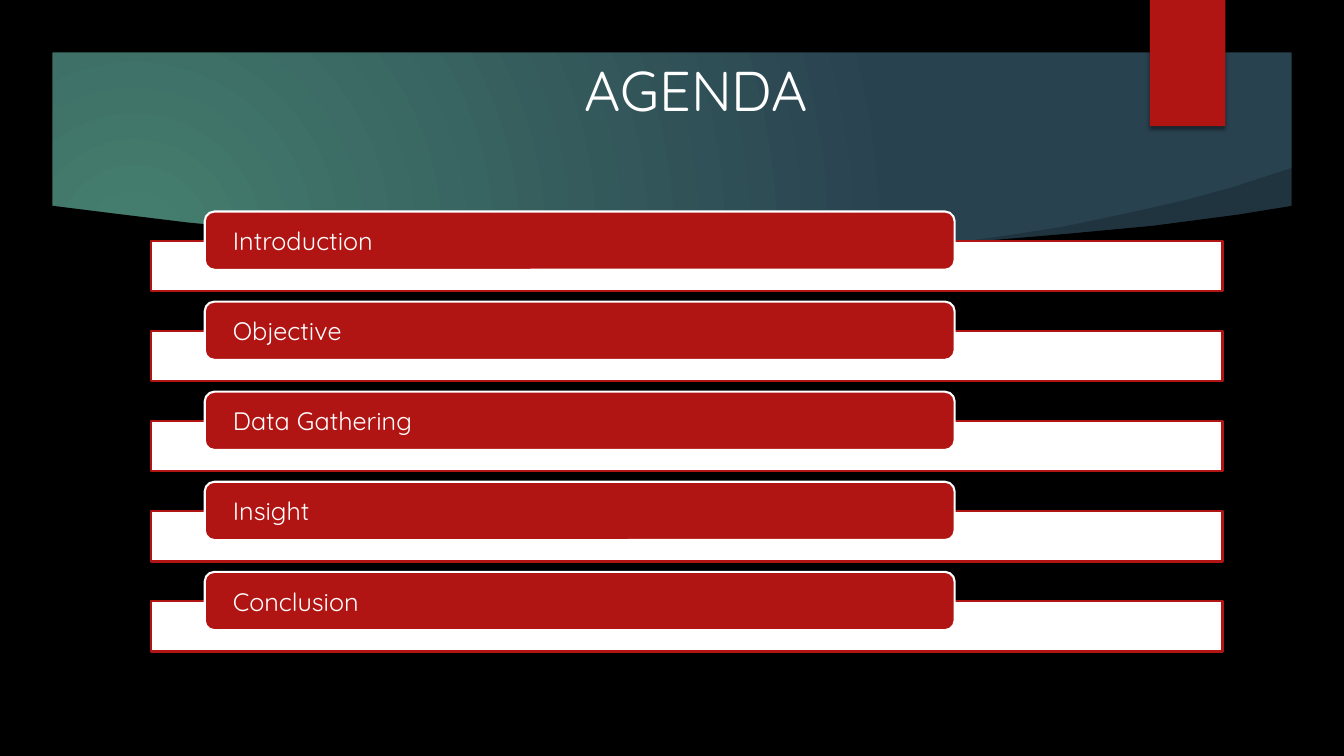
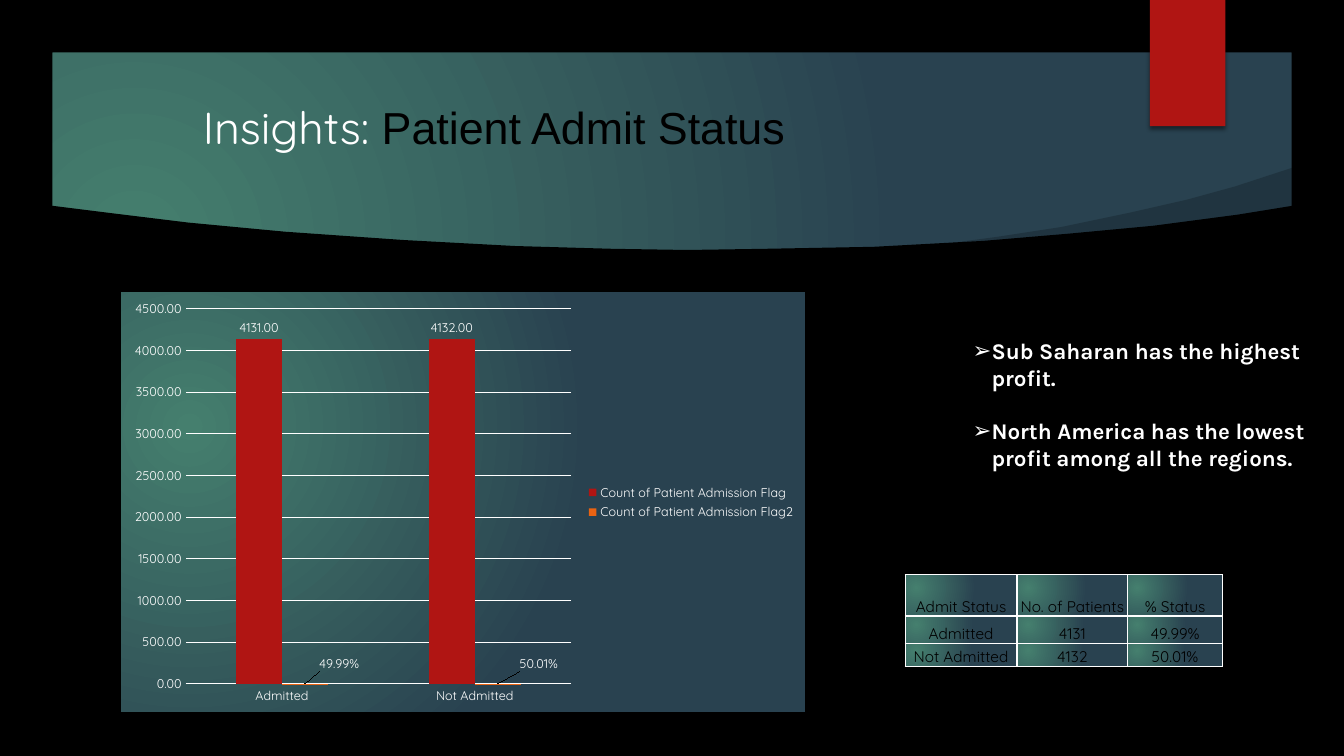
"""Build an agenda slide and a patient admission insight slide."""
from dataclasses import dataclass

from lxml.etree import SubElement
from pptx import Presentation
from pptx.chart.data import CategoryChartData
from pptx.dml.color import RGBColor
from pptx.enum.chart import XL_CHART_TYPE, XL_LABEL_POSITION, XL_LEGEND_POSITION, XL_TICK_MARK
from pptx.enum.shapes import MSO_SHAPE
from pptx.enum.text import MSO_ANCHOR, PP_ALIGN
from pptx.oxml import parse_xml
from pptx.oxml.ns import nsdecls, qn
from pptx.util import Cm, Pt

COLORS = {
    "black": "000000", "white": "FFFFFF", "red": "B01513",
    "orange": "EA6312", "green": "457F6E", "slate": "294250",
}
FONT = "Quicksand"
WIDTH, HEIGHT, MARGIN = 33.87, 19.05, 1.32
SHADE_POINTS = [
    (23.62, 6.17), (25.12, 5.97), (26.75, 5.72), (28.47, 5.36), (29.92, 5.03),
    (31.12, 4.7), (32.59, 4.22), (32.74, 5.44), (23.72, 6.35),
]
BODY_POINTS = [
    (1.27, 5.18), (2.87, 5.38), (4.75, 5.61), (7.19, 5.84), (10.19, 6.05),
    (12.98, 6.2), (15.42, 6.27), (17.32, 6.3), (19.3, 6.27), (22.02, 6.22),
    (24.79, 6.07), (26.92, 5.89), (29.06, 5.69), (31.19, 5.41), (32.61, 5.18),
    (32.61, 17.78), (1.27, 17.78),
]
AGENDA = ["Introduction", "Objective", "Data Gathering", "Insight", "Conclusion"]
AGENDA_PITCH = 2.27
FINDINGS = [
    "Sub Saharan has the highest profit.",
    "North America has the lowest profit among all the regions.",
]
ADMISSIONS = [
    ["Admit Status", "No. of Patients", "% Status"],
    ["Admitted", "4131", "49.99%"],
    ["Not Admitted", "4132", "50.01%"],
]


@dataclass(frozen=True)
class Box:
    left: float
    top: float
    width: float
    height: float

    def lengths(self) -> tuple:
        return Cm(self.left), Cm(self.top), Cm(self.width), Cm(self.height)


@dataclass(frozen=True)
class Span:
    text: str
    size: float
    color: str = "white"
    font: str = FONT
    bold: bool = False


@dataclass(frozen=True)
class Measure:
    name: str
    values: tuple
    color: str
    number_format: str


MEASURES = [
    Measure("Count of Patient Admission Flag", (4131, 4132), "red", "0.00"),
    Measure("Count of Patient Admission Flag2", (0.4999, 0.5001), "orange", "0.00%"),
]


def rgb(color: str) -> RGBColor:
    return RGBColor.from_string(COLORS[color])


def gradient():
    stops = "".join(
        f'<a:gs pos="{position}"><a:srgbClr val="{COLORS[color]}"/></a:gs>'
        for position, color in ((0, "green"), (100000, "slate"))
    )
    return parse_xml(
        f'<a:gradFill {nsdecls("a")} rotWithShape="1"><a:gsLst>{stops}</a:gsLst>'
        '<a:path path="circle"><a:fillToRect l="45000" t="65000" r="125000" b="100000"/>'
        "</a:path></a:gradFill>"
    )


def style_font(font, size: float, color: str = "white", name: str = FONT, bold: bool = False) -> None:
    font.size, font.name, font.bold = Pt(size), name, bold
    font.color.rgb = rgb(color)


def write(para, *spans: Span) -> None:
    para.text = spans[0].text
    for span in spans[1:]:
        para.add_run().text = span.text
    for run, span in zip(para.runs, spans):
        style_font(run.font, span.size, span.color, span.font, span.bold)


def paint(shape, fill: str, line: str = "") -> None:
    shape.shadow.inherit = False
    shape.fill.solid()
    shape.fill.fore_color.rgb = rgb(fill)
    if line:
        shape.line.color.rgb = rgb(line)
        shape.line.width = Pt(1.5)
    else:
        shape.line.fill.background()


def add_block(page, kind, box: Box, fill: str, line: str = ""):
    shape = page.shapes.add_shape(kind, *box.lengths())
    paint(shape, fill, line)
    return shape


def add_outline(page, points: list, fill: str):
    corners = [(Cm(x), Cm(y)) for x, y in points]
    builder = page.shapes.build_freeform(*corners[0], scale=1.0)
    builder.add_line_segments(corners[1:], close=True)
    shape = builder.convert_to_shape()
    paint(shape, fill)
    return shape


def add_title(page, box: Box, *spans: Span) -> None:
    frame = page.shapes.add_textbox(*box.lengths()).text_frame
    frame.word_wrap = True
    frame.vertical_anchor = MSO_ANCHOR.MIDDLE
    write(frame.paragraphs[0], *spans)
    frame.paragraphs[0].alignment = PP_ALIGN.CENTER


def add_page(deck):
    page = deck.slides.add_slide(deck.slide_layouts[6])
    page.background.fill.solid()
    plain = page.element.find(f'.//{qn("p:bgPr")}/{qn("a:solidFill")}')
    plain.getparent().replace(plain, gradient())

    shade = add_outline(page, SHADE_POINTS, "black")
    color = shade.element.spPr.find(f'{qn("a:solidFill")}/{qn("a:srgbClr")}')
    SubElement(color, qn("a:alpha"), val="20000")
    add_outline(page, BODY_POINTS, "black")
    border = add_block(page, MSO_SHAPE.FRAME, Box(0, 0, WIDTH, HEIGHT), "black")
    border.adjustments[0] = MARGIN / HEIGHT

    ribbon = add_block(page, MSO_SHAPE.RECTANGLE, Box(28.98, 0, 1.9, 3.18), "red")
    ribbon.element.spPr.find(qn("a:effectLst")).append(parse_xml(
        f'<a:outerShdw {nsdecls("a")} blurRad="38100" dist="25400" dir="5400000" rotWithShape="0">'
        f'<a:srgbClr val="{COLORS["black"]}"><a:alpha val="45000"/></a:srgbClr></a:outerShdw>'
    ))
    return page


def add_agenda_item(page, index: int, label: str) -> None:
    offset = index * AGENDA_PITCH
    add_block(page, MSO_SHAPE.RECTANGLE, Box(3.81, 6.07 + offset, 27, 1.27), "white", "red")
    pill = add_block(
        page, MSO_SHAPE.ROUNDED_RECTANGLE, Box(5.16, 5.33 + offset, 18.9, 1.47), "red", "white"
    )
    frame = pill.text_frame
    frame.margin_left = frame.margin_right = Cm(0.64)
    frame.margin_top = frame.margin_bottom = Cm(0)
    frame.vertical_anchor = MSO_ANCHOR.MIDDLE
    write(frame.paragraphs[0], Span(label, 18))
    frame.paragraphs[0].alignment = PP_ALIGN.LEFT


def add_findings(page, box: Box) -> None:
    frame = page.shapes.add_textbox(*box.lengths()).text_frame
    frame.word_wrap = True
    for index, finding in enumerate(FINDINGS):
        para = frame.add_paragraph() if index else frame.paragraphs[0]
        write(para, Span(finding, 16, font="Karla", bold=True))
        para.space_before = Pt(19 if index else 0)
        properties = para._p.get_or_add_pPr()
        properties.set("marL", str(Cm(0.48)))
        properties.set("indent", str(Cm(-0.48)))
        SubElement(properties, qn("a:buFont"), typeface="Arial")
        SubElement(properties, qn("a:buChar"), char="➢")


def format_cell(cell, text: str) -> None:
    cell.margin_left = cell.margin_right = cell.margin_top = Cm(0.03)
    cell.margin_bottom = Cm(0)
    cell.vertical_anchor = MSO_ANCHOR.BOTTOM
    para = cell.text_frame.paragraphs[0]
    write(para, Span(text, 11, "black"))
    para.alignment = PP_ALIGN.CENTER
    properties = cell._tc.get_or_add_tcPr()
    for side in ("lnL", "lnR", "lnT", "lnB"):
        properties.append(parse_xml(
            f'<a:{side} {nsdecls("a")} w="12700"><a:solidFill>'
            f'<a:srgbClr val="{COLORS["white"]}"/></a:solidFill></a:{side}>'
        ))
    properties.append(gradient())


def add_admission_table(page, left: float, top: float) -> None:
    widths, heights = (2.82, 2.79, 2.39), (1.04, 0.69, 0.58)
    box = Box(left, top, sum(widths), sum(heights))
    table = page.shapes.add_table(len(heights), len(widths), *box.lengths()).table
    table.first_row = table.horz_banding = False
    for column, width in zip(table.columns, widths):
        column.width = Cm(width)
    for row, height, texts in zip(table.rows, heights, ADMISSIONS):
        row.height = Cm(height)
        for cell, text in zip(row.cells, texts):
            format_cell(cell, text)


def shift_label(series, index: int, right: float, down: float) -> None:
    label = series.points[index].data_label
    style_font(label.font, 9)
    label.position = XL_LABEL_POSITION.OUTSIDE_END
    element = series._element.findall(f'.//{qn("c:dLbl")}')[index]
    element.insert(1, parse_xml(
        f'<c:layout {nsdecls("c")}><c:manualLayout><c:x val="{right}"/>'
        f'<c:y val="{down}"/></c:manualLayout></c:layout>'
    ))


def style_axes(chart) -> None:
    for axis in (chart.category_axis, chart.value_axis):
        axis.major_tick_mark = axis.minor_tick_mark = XL_TICK_MARK.NONE
        style_font(axis.tick_labels.font, 9)
    values = chart.value_axis
    values.minimum_scale, values.maximum_scale, values.major_unit = 0, 4500, 500
    values.tick_labels.number_format = "0.00"
    values.tick_labels.number_format_is_linked = False
    values.format.line.fill.background()
    for line in (chart.category_axis.format.line, values.major_gridlines.format.line):
        line.color.rgb = rgb("white")
        line.width = Pt(0.75)


def add_admission_chart(page, box: Box) -> None:
    data = CategoryChartData()
    data.categories = [row[0] for row in ADMISSIONS[1:]]
    for measure in MEASURES:
        data.add_series(measure.name, measure.values, measure.number_format)
    chart = page.shapes.add_chart(XL_CHART_TYPE.COLUMN_CLUSTERED, *box.lengths(), data).chart
    chart.has_title = False
    style_font(chart.font, 10)
    chart.has_legend = True
    chart.legend.position = XL_LEGEND_POSITION.RIGHT
    chart.legend.include_in_layout = False
    style_font(chart.legend.font, 9)
    style_axes(chart)

    plot = chart.plots[0]
    plot.gap_width, plot.overlap, plot.vary_by_categories = 219, 0, False
    for series, measure in zip(plot.series, MEASURES):
        series.format.fill.solid()
        series.format.fill.fore_color.rgb = rgb(measure.color)
        labels = series.data_labels
        labels.show_value = True
        labels.position = XL_LABEL_POSITION.OUTSIDE_END
        labels.number_format = measure.number_format
        labels.number_format_is_linked = False
        style_font(labels.font, 9)
    for index, right in enumerate((0.05, 0.06)):
        shift_label(plot.series[1], index, right, -0.02)

    area = parse_xml(f'<c:spPr {nsdecls("c", "a")}><a:ln><a:noFill/></a:ln></c:spPr>')
    area.insert(0, gradient())
    chart.element.find(qn("c:chart")).addnext(area)


def main() -> None:
    deck = Presentation()
    deck.slide_width, deck.slide_height = Cm(WIDTH), Cm(HEIGHT)

    agenda = add_page(deck)
    add_title(agenda, Box(3.81, 0.81, 27.48, 2.87), Span("AGENDA", 40))
    for index, label in enumerate(AGENDA):
        add_agenda_item(agenda, index, label)

    insights = add_page(deck)
    add_title(
        insights, Box(1.75, 2.3, 21.41, 1.8),
        Span("Insights: ", 32), Span("Patient Admit Status", 32, "black", "Arial"),
    )
    add_findings(insights, Box(24.26, 8.37, 9.09, 3.7))
    add_admission_table(insights, 22.81, 14.48)
    add_admission_chart(insights, Box(3.05, 7.37, 17.25, 10.57))
    deck.save("out.pptx")


if __name__ == "__main__":
    main()
